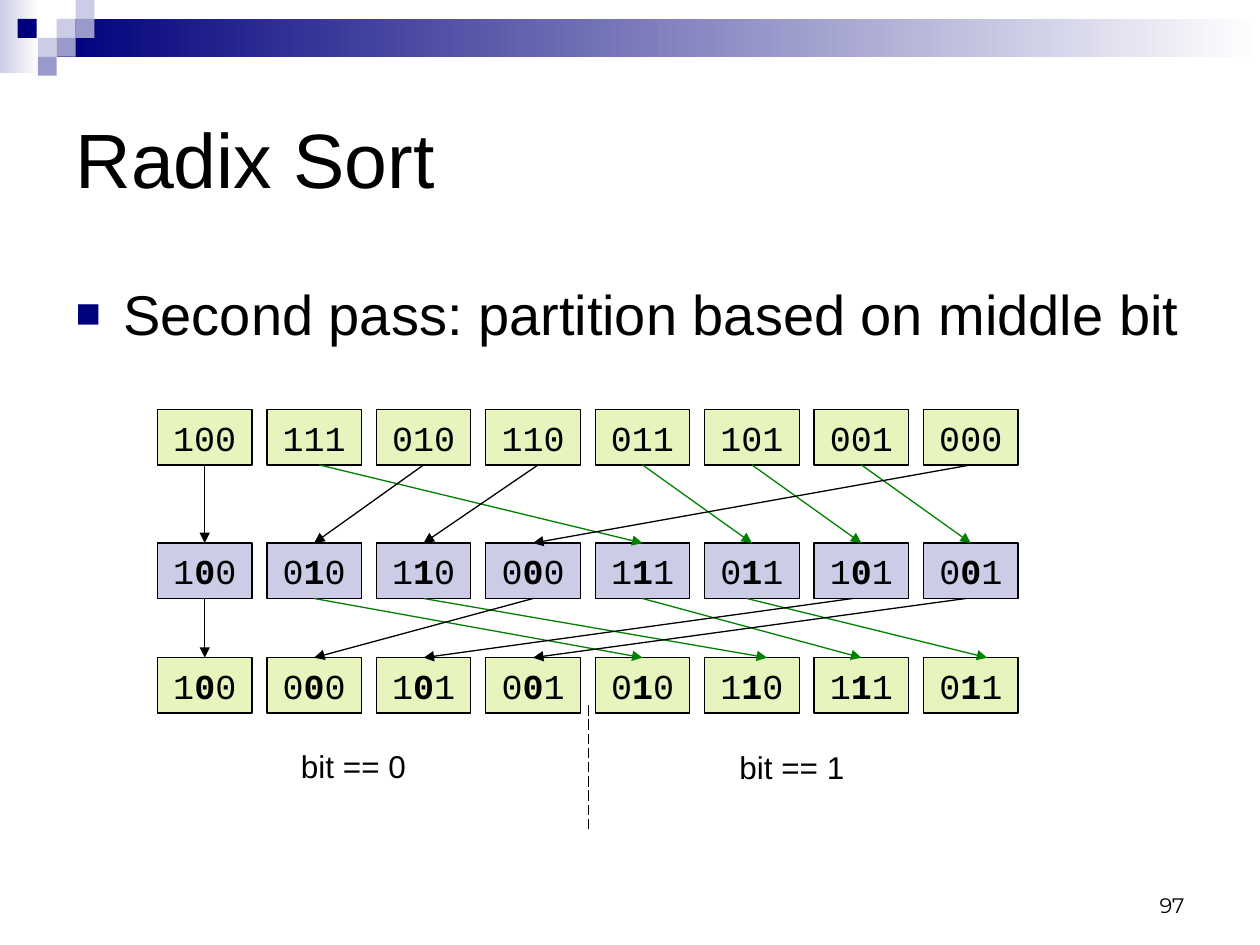
import pptx
import pptx.util
import pptx.dml.color
import pptx.enum.dml
import pptx.enum.shapes
import pptx.enum.text
import pptx.oxml.ns
import lxml.etree

Inches = pptx.util.Inches
RECTANGLE = pptx.enum.shapes.MSO_SHAPE.RECTANGLE
STRAIGHT = pptx.enum.shapes.MSO_CONNECTOR.STRAIGHT
ALIGN = pptx.enum.text.PP_ALIGN
ANCHOR = pptx.enum.text.MSO_ANCHOR
AUTO_SIZE = pptx.enum.text.MSO_AUTO_SIZE
COLORS = {
    "black": "000000", "white": "FFFFFF", "navy": "00007D", "lavender": "CCCCE6",
    "violet": "9999CC", "lime": "E7F4BE", "green": "008000",
}


def rgb(name):
    return pptx.dml.color.RGBColor.from_string(COLORS[name])


def write(paragraph, text, size=20, font="Arial", bold=False, align=ALIGN.LEFT):
    paragraph.alignment = align
    run = paragraph.add_run()
    run.text = text
    run.font.size = pptx.util.Pt(size)
    run.font.name = font
    run.font.bold = bold
    run.font.color.rgb = rgb("black")


deck = pptx.Presentation()
deck.slide_width, deck.slide_height = Inches(10), Inches(7.5)
slide = deck.slides.add_slide(deck.slide_layouts[1])
shapes = slide.shapes

header = [
    (0, 0, 0.31, 0.58, "lavender", True),
    (0.45, 0.15, 9.55, 0.3, "navy", True),
    (0.45, 0.15, 0.15, 0.15, "lavender", False),
    (0.6, 0, 0.15, 0.15, "lavender", False),
    (0.6, 0.15, 0.15, 0.15, "violet", False),
    (0.3, 0.3, 0.15, 0.15, "lavender", False),
    (0.14, 0.15, 0.15, 0.15, "navy", False),
    (0.45, 0.3, 0.15, 0.15, "violet", False),
    (0.3, 0.45, 0.15, 0.15, "violet", False),
]
for left, top, width, height, color, fades in header:
    tile = shapes.add_shape(RECTANGLE, Inches(left), Inches(top), Inches(width), Inches(height))
    tile.shadow.inherit = False
    tile.line.fill.background()
    if fades:
        tile.fill.gradient()
        tile.fill.gradient_angle = 0
        for stop, shade in zip(tile.fill.gradient_stops, (color, "white")):
            stop.color.rgb = rgb(shade)
    else:
        tile.fill.solid()
        tile.fill.fore_color.rgb = rgb(color)

title = shapes.title
title.left, title.top, title.width, title.height = Inches(0.5), Inches(0.5), Inches(9), Inches(1.5)
title.text_frame.vertical_anchor = ANCHOR.MIDDLE
write(title.text_frame.paragraphs[0], "Radix Sort", size=44)

body = slide.placeholders[1]
body.left, body.top, body.width, body.height = Inches(0.5), Inches(2.17), Inches(9), Inches(0.75)
body.text_frame.auto_size = AUTO_SIZE.NONE
bullet = body.text_frame.paragraphs[0]
write(bullet, "Second pass: partition based on middle bit", size=32)
properties = bullet._p.get_or_add_pPr()
properties.set("marL", str(Inches(0.38)))
properties.set("indent", str(-Inches(0.38)))
qn = pptx.oxml.ns.qn
bullet_color = lxml.etree.SubElement(properties, qn("a:buClr"))
lxml.etree.SubElement(bullet_color, qn("a:srgbClr"), val=COLORS["navy"])
lxml.etree.SubElement(properties, qn("a:buSzPct"), val="75000")
lxml.etree.SubElement(properties, qn("a:buFont"), typeface="Arial")
lxml.etree.SubElement(properties, qn("a:buChar"), char="■")

first_left, last_left, box_width, box_height = 1.25, 7.33, 0.75, 0.44
pitch = (last_left - first_left) / 7
rows = [
    (3.25, "lime", False, "100 111 010 110 011 101 001 000".split()),
    (4.31, "lavender", True, "100 010 110 000 111 011 101 001".split()),
    (5.22, "lime", True, "100 000 101 001 010 110 111 011".split()),
]
for top, color, marks_middle, keys in rows:
    for column, key in enumerate(keys):
        box = shapes.add_shape(RECTANGLE, Inches(first_left + column * pitch), Inches(top),
                               Inches(box_width), Inches(box_height))
        box.shadow.inherit = False
        box.fill.solid()
        box.fill.fore_color.rgb = rgb(color)
        box.line.color.rgb = rgb("black")
        box.line.width = pptx.util.Pt(0.75)
        box.text_frame.word_wrap = True
        box.text_frame.auto_size = AUTO_SIZE.SHAPE_TO_FIT_TEXT
        for digit, text in enumerate(key if marks_middle else [key]):
            write(box.text_frame.paragraphs[0], text, font="Courier New",
                  bold=digit == 1, align=ALIGN.CENTER)

lines = []
nudges = {(0, "111"): (0.04, 0), (0, "110"): (0.04, 0), (1, "101"): (-0.07, 0),
          (1, "001"): (-0.04, 0), (1, "110"): (0, 0.12), (1, "011"): (-0.04, 0.13)}
for step, sorted_bit in enumerate((2, 1)):
    top, _, _, before = rows[step]
    next_top, _, _, after = rows[step + 1]
    for column, key in enumerate(before):
        start_nudge, end_nudge = nudges.get((step, key), (0, 0))
        center = first_left + box_width / 2
        lines.append((center + column * pitch + start_nudge, top + box_height,
                      center + after.index(key) * pitch + end_nudge, next_top,
                      "green" if key[sorted_bit] == "1" else "black", True))
lines.append((4.67, 6.58, 4.67, 5.58, "black", False))

for start_x, start_y, end_x, end_y, color, is_arrow in lines:
    link = shapes.add_connector(STRAIGHT, Inches(start_x), Inches(start_y),
                                Inches(end_x), Inches(end_y))
    link.line.color.rgb = rgb(color)
    link.line.width = pptx.util.Pt(0.75)
    if is_arrow:
        lxml.etree.SubElement(link.line._get_or_add_ln(), qn("a:tailEnd"), type="triangle")
    else:
        link.line.dash_style = pptx.enum.dml.MSO_LINE.LONG_DASH
    lxml.etree.SubElement(link._element.spPr, qn("a:effectLst"))

captions = [
    (2.29, 5.88, 1.04, 0.4, "bit == 0", False, ANCHOR.TOP, {"size": 18}),
    (5.77, 5.89, 1.04, 0.4, "bit == 1", False, ANCHOR.TOP, {"size": 18}),
    (7.17, 6.83, 2.33, 0.5, "97", True, ANCHOR.BOTTOM,
     {"size": 12, "font": "Montserrat", "align": ALIGN.RIGHT}),
]
for left, top, width, height, text, wraps, anchor, style in captions:
    caption = shapes.add_textbox(Inches(left), Inches(top), Inches(width), Inches(height))
    caption.text_frame.word_wrap = wraps
    caption.text_frame.vertical_anchor = anchor
    write(caption.text_frame.paragraphs[0], text, **style)

deck.save("out.pptx")
